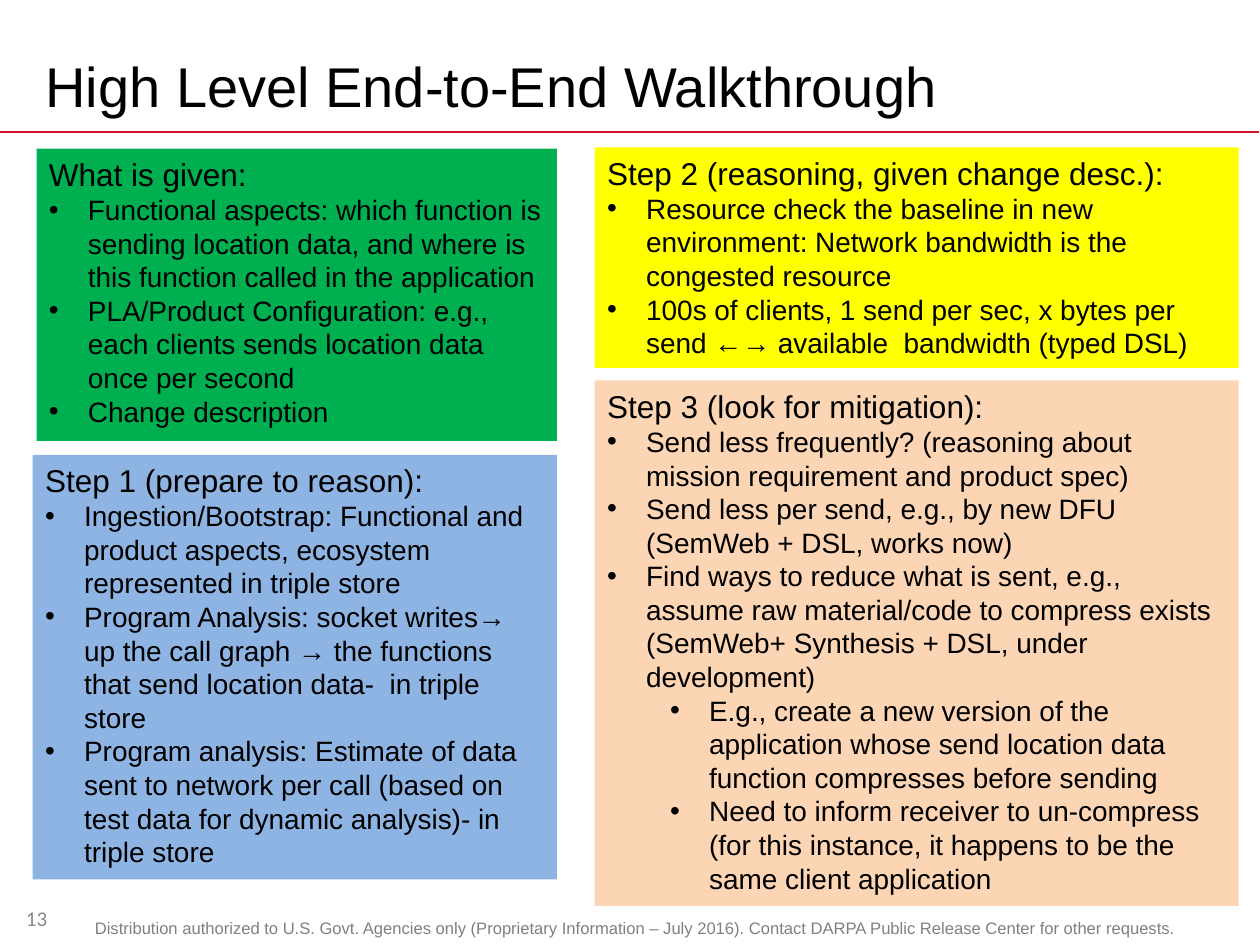
from lxml.etree import SubElement
from pptx import Presentation
from pptx.dml.color import RGBColor as RGB
from pptx.enum.shapes import MSO_CONNECTOR as CONN, MSO_SHAPE as SHAPE
from pptx.enum.text import MSO_ANCHOR as ANCHOR, MSO_AUTO_SIZE as AUTO, PP_ALIGN as ALIGN
from pptx.oxml.ns import qn
from pptx.util import Inches, Pt

COLORS = {
    "text": "000000", "footer": "808080", "number": "898989", "rule": "CE1126",
    "green": "00B050", "blue": "8EB4E3", "yellow": "FFFF00", "peach": "FCD5B5",
}
COLS, ROWS = 100, 75

PANELS = [
    ("green", (2.9, 11.8, 41.3, 23.2), "What is given:", [
        (0, "Functional aspects: which function is sending location data, and where is this function called in the application"),
        (0, "PLA/Product Configuration: e.g., each clients sends location data once per second"),
        (0, "Change description"),
    ]),
    ("blue", (2.6, 36.1, 41.6, 33.7), "Step 1 (prepare to reason):", [
        (0, "Ingestion/Bootstrap: Functional and product aspects, ecosystem represented in triple store"),
        (0, "Program Analysis: socket writes→ up the call graph → the functions that send location data-  in triple store"),
        (0, "Program analysis: Estimate of data sent to network per call (based on test data for dynamic analysis)- in triple store"),
    ]),
    ("yellow", (47.2, 11.7, 51.1, 17.5), "Step 2 (reasoning, given change desc.):", [
        (0, "Resource check the baseline in new environment: Network bandwidth is the congested resource"),
        (0, "100s of clients, 1 send per sec, x bytes per send ←→ available  bandwidth (typed DSL)"),
    ]),
    ("peach", (47.2, 30.2, 51.1, 41.7), "Step 3 (look for mitigation):", [
        (0, "Send less frequently? (reasoning about mission requirement and product spec)"),
        (0, "Send less per send, e.g., by new DFU (SemWeb + DSL, works now)"),
        (0, "Find ways to reduce what is sent, e.g., assume raw material/code to compress exists (SemWeb+ Synthesis + DSL, under development)"),
        (1, "E.g., create a new version of the application whose send location data function compresses before sending"),
        (1, "Need to inform receiver to un-compress (for this instance, it happens to be the same client application"),
    ]),
]


def write(p, text, size=16, color="text", font="Arial", align=ALIGN.LEFT, spacing=None):
    p.alignment = align
    if spacing:
        p.line_spacing = spacing
    r = p.add_run()
    r.text = text
    r.font.size, r.font.name = Pt(size), font
    r.font.color.rgb = RGB.from_string(COLORS[color])


def bullet(p, level):
    p.level = level
    pPr = p._p.get_or_add_pPr()
    pPr.set("marL", str(Inches(0.31 + 0.5 * level)))
    pPr.set("indent", str(-Inches(0.31)))
    SubElement(pPr, qn("a:buFont")).set("typeface", "Arial")
    SubElement(pPr, qn("a:buChar")).set("char", "•")


class Deck:
    def __init__(self, width, height):
        self.prs = Presentation()
        self.prs.slide_width, self.prs.slide_height = Inches(width), Inches(height)
        self.s = self.prs.slides.add_slide(self.prs.slide_layouts[5])

    def grid(self, col, row):
        return int(self.prs.slide_width * col / COLS), int(self.prs.slide_height * row / ROWS)

    def box(self, x, y, w, h):
        return *self.grid(x, y), *self.grid(w, h)

    def title(self, text, area):
        sp = self.s.shapes.title
        sp.left, sp.top, sp.width, sp.height = self.box(*area)
        tf = sp.text_frame
        tf.vertical_anchor, tf.auto_size = ANCHOR.MIDDLE, AUTO.NONE
        write(tf.paragraphs[0], text, size=32)

    def rule(self, row, width):
        sp = self.s.shapes.add_connector(CONN.STRAIGHT, *self.grid(0, row), *self.grid(width, row))
        sp.line.color.rgb, sp.line.width = RGB.from_string(COLORS["rule"]), Pt(1)
        SubElement(sp._element.spPr, qn("a:effectLst"))

    def label(self, text, area, anchor=ANCHOR.TOP, **fmt):
        tf = self.s.shapes.add_textbox(*self.box(*area)).text_frame
        tf.word_wrap, tf.vertical_anchor = True, anchor
        write(tf.paragraphs[0], text, align=ALIGN.CENTER, **fmt)

    def panel(self, color, area, heading, items):
        sp = self.s.shapes.add_shape(SHAPE.RECTANGLE, *self.box(*area))
        sp.shadow.inherit = False
        sp.fill.solid()
        sp.fill.fore_color.rgb = RGB.from_string(COLORS[color])
        sp.line.fill.background()
        tf = sp.text_frame
        tf.word_wrap, tf.vertical_anchor = True, ANCHOR.TOP
        tf.auto_size = AUTO.SHAPE_TO_FIT_TEXT
        write(tf.paragraphs[0], heading, size=18)
        for level, text in items:
            p = tf.add_paragraph()
            bullet(p, level)
            write(p, text)


def main():
    deck = Deck(10, 7.5)
    deck.rule(10.5, 99.9)
    deck.label("Distribution authorized to U.S. Govt. Agencies only (Proprietary Information – July 2016). "
               "Contact DARPA Public Release Center for other requests.",
               (5.8, 72.7, 89.2, 2.6), size=9.5, color="footer", spacing=0.8)
    deck.title("High Level End-to-End Walkthrough", (2.6, 3, 90, 7.5))
    deck.label("13", (0, 70.9, 5.8, 4), anchor=ANCHOR.MIDDLE, size=12, color="number", font="Calibri")
    for panel in PANELS:
        deck.panel(*panel)
    deck.prs.save("out.pptx")


if __name__ == "__main__":
    main()
